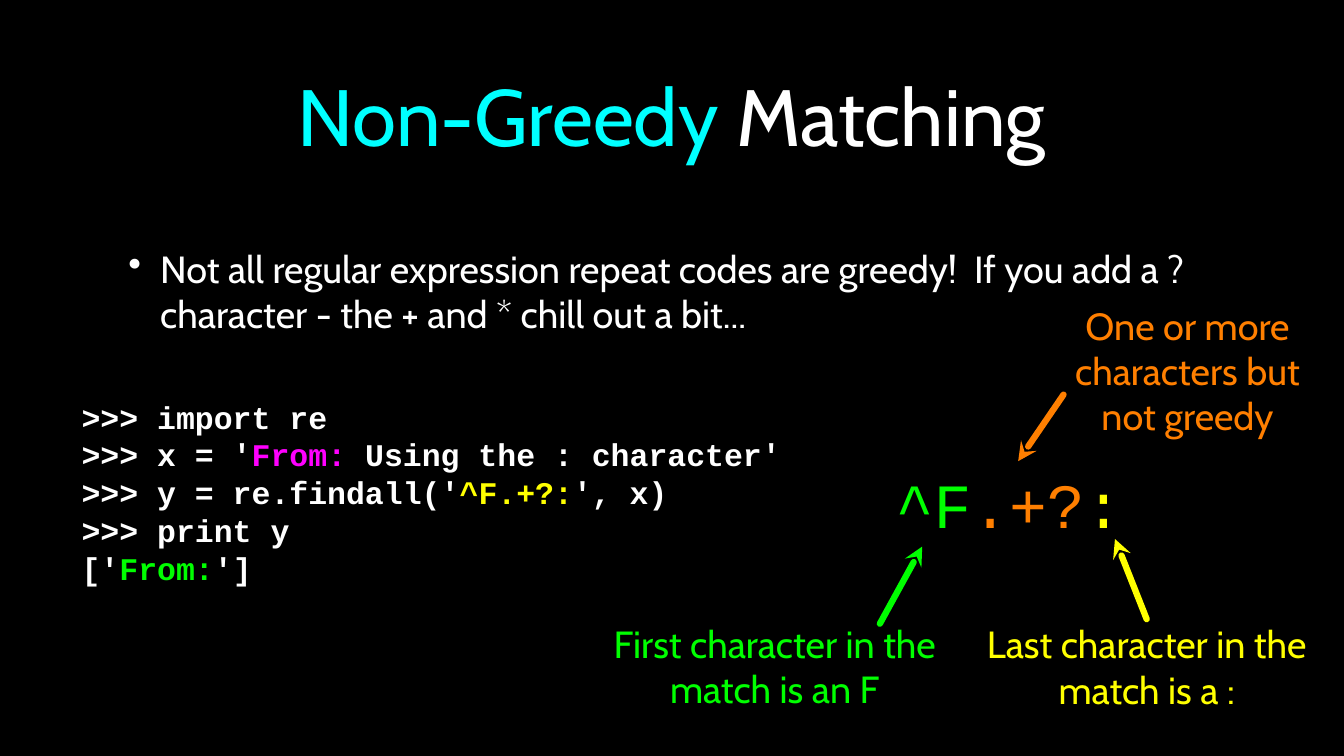
from lxml.etree import SubElement
from pptx import Presentation
from pptx.dml.color import RGBColor
from pptx.enum.shapes import MSO_CONNECTOR
from pptx.enum.text import MSO_ANCHOR, PP_ALIGN
from pptx.oxml.ns import qn
from pptx.util import Inches, Pt

WHITE, CYAN, MAGENTA = "FFFFFF", "00FFFF", "FF00FF"
GREEN, ORANGE, YELLOW = "00FF00", "FF7F00", "FFFF00"
CENTER = PP_ALIGN.CENTER

presentation = Presentation()
presentation.slide_width = Inches(17.78)
presentation.slide_height = Inches(10)
slide = presentation.slides.add_slide(presentation.slide_layouts[6])


def set_color(color_format, value):
    color_format.rgb = RGBColor.from_string(value)


def add_text(box, lines, size, font="Cabin", bold=False, align=PP_ALIGN.LEFT, inset=0):
    """Each line is a list of (text, color) runs; box is left, top, width, height."""
    frame = slide.shapes.add_textbox(*map(Inches, box)).text_frame
    frame.word_wrap = True
    frame.vertical_anchor = MSO_ANCHOR.MIDDLE
    frame.margin_left = frame.margin_right = Inches(inset)
    frame.margin_top = frame.margin_bottom = Inches(inset)
    for index, line in enumerate(lines):
        paragraph = frame.add_paragraph() if index else frame.paragraphs[0]
        paragraph.alignment = align
        for text, color in line:
            run = paragraph.add_run()
            run.text = text
            run.font.name = font
            run.font.size = Pt(size)
            run.font.bold = bold
            set_color(run.font.color, color)
    return frame


background = slide.background.fill
background.solid()
set_color(background.fore_color, "000000")

# Title and bullet
add_text((1.26, 0.26, 15.24, 2.51), [[("Non-Greedy", CYAN), (" Matching", WHITE)]],
         size=76, align=CENTER, inset=0.04)
bullet_text = ("Not all regular expression repeat codes are greedy!  If you add a ? "
               "character - the + and * chill out a bit...")
bullet_frame = add_text((1.26, 2.85, 15.24, 2), [[(bullet_text, WHITE)]], size=36, inset=0.04)
properties = bullet_frame.paragraphs[0]._p.get_or_add_pPr()
properties.set("marL", str(Inches(0.82)))
properties.set("indent", str(Inches(-0.42)))
SubElement(properties, qn("a:buChar")).set("char", "•")

# Python session
session = [
    [(">>> import re", WHITE)],
    [(">>> x = '", WHITE), ("From: ", MAGENTA), ("Using the : character'", WHITE)],
    [(">>> y = re.findall('", WHITE), ("^F.+?:", YELLOW), ("', x)", WHITE)],
    [(">>> print y", WHITE)],
    [("['", WHITE), ("From:", GREEN), ("']", WHITE)],
]
add_text((1.08, 5.03, 10.97, 2.96), session, size=30, font="Courier New", bold=True)

# Pattern with a note and an arrow for each part
add_text((11.85, 6.1, 3.24, 1.12), [[("^F", GREEN), (".+?", ORANGE), (":", YELLOW)]],
         size=60, font="Courier New")
notes = [
    ("One or more characters but not greedy", ORANGE,
     (13.94, 3.99, 3.54, 1.82), (13.47, 6.1), (14.07, 5.22)),
    ("First character in the match is an F", GREEN,
     (7.97, 8.18, 4.56, 1.25), (12.2, 7.23), (11.64, 8.25)),
    ("Last character in the match is a :", YELLOW,
     (12.89, 8.19, 4.56, 1.25), (14.75, 7.13), (15.17, 8.19)),
]
for text, color, box, tip, tail in notes:
    add_text(box, [[(text, color)]], size=36, align=CENTER)
    arrow = slide.shapes.add_connector(MSO_CONNECTOR.STRAIGHT, *map(Inches, tip + tail))
    arrow.line.width = Pt(6)
    set_color(arrow.line.color, color)
    line = arrow.line._get_or_add_ln()
    line.set("cap", "rnd")
    SubElement(line, qn("a:round"))
    SubElement(line, qn("a:headEnd")).set("type", "stealth")
    SubElement(arrow._element.spPr, qn("a:effectLst"))

presentation.save("out.pptx")
